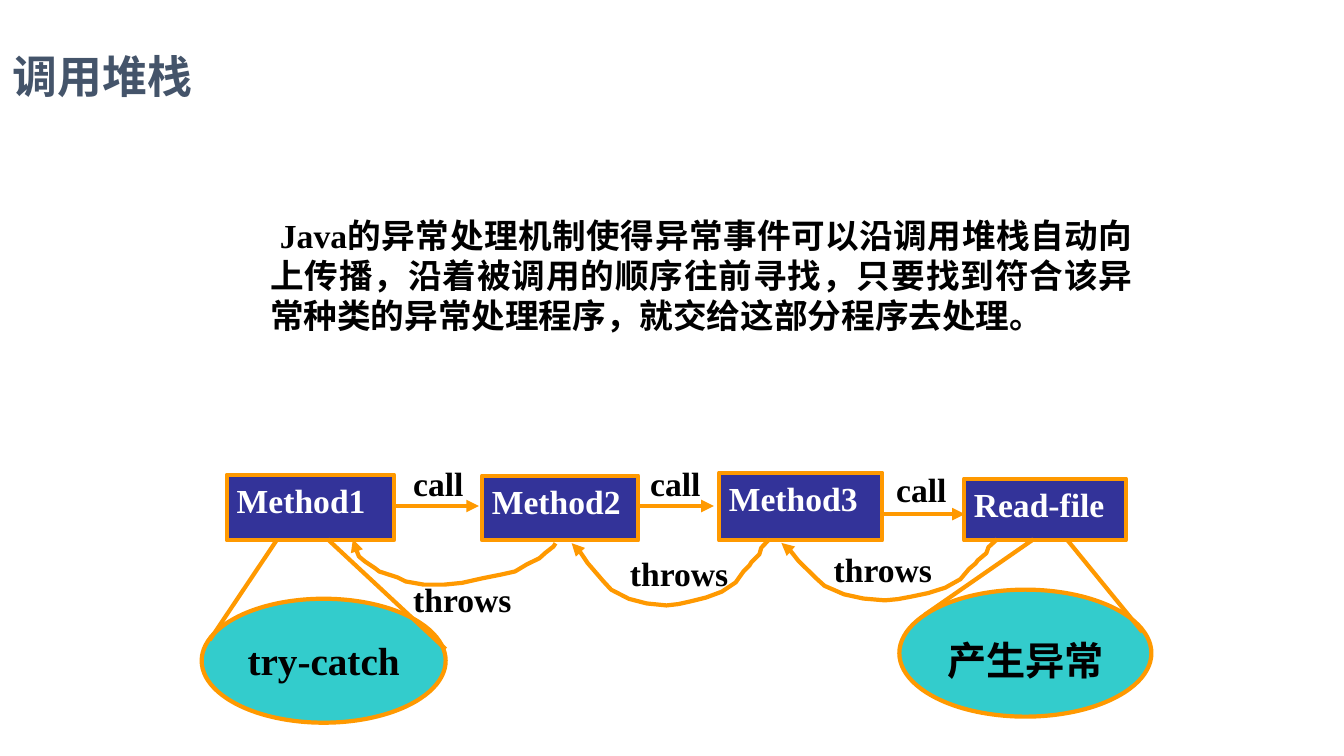
from lxml import etree
from pptx import Presentation
from pptx.dml.color import RGBColor as Rgb
from pptx.enum.shapes import MSO_CONNECTOR as Link, MSO_SHAPE as Form
from pptx.enum.text import MSO_ANCHOR as Anchor, PP_ALIGN as Align
from pptx.oxml.ns import qn
from pptx.util import Inches, Pt

COLORS = {"box": "333399", "oval": "33CCCC", "line": "FF9900",
          "title": "44546A", "black": "000000", "white": "FFFFFF"}
SERIF, SANS, CJK = "Times New Roman", "Arial", "Noto Sans CJK SC"

METHODS = [("Method1", 2.25, 4.71, 1.66, 0.65), ("Method2", 4.78, 4.72, 1.55, 0.64),
           ("Method3", 7.13, 4.69, 1.62, 0.67), ("Read-file", 9.56, 4.75, 1.61, 0.61)]
CALLS = [(3.92, 4.75, 5.02), (6.33, 7.08, 5.02), (8.75, 9.57, 5.1)]
LABELS = [("call", 4, 4.54, 0.73), ("call", 6.35, 4.54, 0.74), ("call", 8.79, 4.6, 0.79),
          ("throws", 8.17, 5.4, 1.32), ("throws", 6.15, 5.44, 1.27),
          ("throws", 4, 5.69, 1.33)]
OVALS = [("try-catch", 2, 5.94, 2.42, 1.23, 1.3), ("产生异常", 8.92, 5.85, 2.5, 1.26, 1.5)]
RAYS = [(2.75, 5.35, 2.08, 6.35), (3.25, 5.35, 4.42, 6.44),
        (10.58, 5.35, 11.33, 6.27), (10.25, 5.35, 9.17, 6.1)]

# Throw curves as fractions of their frame, from thrower to catcher
DEEP = [(1, 0), (.96, .13), (.95, .23), (.91, .35), (.9, .4), (.87, .49), (.83, .66),
        (.76, .8), (.68, .89), (.6, .95), (.54, .99), (.48, 1.01), (.38, .98), (.29, .91),
        (.2, .77), (.16, .64), (.12, .5), (.08, .36), (.04, .18), (0, .06)]
FLAT = [(1, .09), (.99, .16), (.95, .3), (.92, .42), (.86, .55), (.8, .71), (.73, .78),
        (.64, .86), (.54, .96), (.45, 1), (.35, 1), (.26, .93), (.22, .84), (.13, .71),
        (.11, .64), (.06, .49), (.03, .38), (.02, .27), (0, 0)]
THROWS = [(DEEP, 5.67, 5.35, 1.96, 0.65), (FLAT, 3.5, 5.35, 2.01, 0.45),
          (DEEP, 7.75, 5.35, 2.14, 0.6)]

BODY = [(" ", SANS), ("Java的异常处理机制使得异常事件可以沿调用", SERIF), ("堆", SANS),
        ("栈自动向上传播，", SERIF),
        ("沿着被调用的顺序往前寻找，只要找到符合该异常种类的异常处理程序，就交给这部分程序去处理。", SANS)]


def color(name):
    return Rgb.from_string(COLORS[name])


def frame(x, y, w, h):
    return [Inches(v) for v in (x, y, w, h)]


def write(shape, text, size=24, font=SERIF, ink="black", align=Align.LEFT, space=None):
    """Fill a shape with bold text, given as a string or as (text, font) runs."""
    box = shape.text_frame
    box.word_wrap = True
    box.vertical_anchor = Anchor.TOP
    para = box.paragraphs[0]
    para.alignment = align
    if space:
        para.line_spacing = space
    for part, face in [(text, font)] if isinstance(text, str) else text:
        run = para.add_run()
        run.text = part
        run.font.name, run.font.size, run.font.bold = face, Pt(size), True
        run.font.color.rgb = color(ink)
        east = etree.SubElement(run.font._element, qn("a:ea"))
        east.set("typeface", CJK)


def stroke(item, arrow=False):
    item.line.color.rgb = color("line")
    item.line.width = Pt(3)
    if arrow:
        tip = etree.SubElement(item.line._get_or_add_ln(), qn("a:tailEnd"))
        tip.set("type", "triangle")


def label(slide, text, x, y, w, h, **style):
    write(slide.shapes.add_textbox(*frame(x, y, w, h)), text, **style)


def node(slide, form, fill, text, x, y, w, h, **style):
    shape = slide.shapes.add_shape(form, *frame(x, y, w, h))
    shape.shadow.inherit = False
    shape.fill.solid()
    shape.fill.fore_color.rgb = color(fill)
    stroke(shape)
    write(shape, text, **style)


def line(slide, x1, y1, x2, y2, arrow=False):
    link = slide.shapes.add_connector(Link.STRAIGHT, *frame(x1, y1, x2, y2))
    stroke(link, arrow)
    etree.SubElement(link._element.spPr, qn("a:effectLst"))


def curve(slide, route, x, y, w, h):
    dots = [(Inches(x + w * u), Inches(y + h * v)) for u, v in route]
    pen = slide.shapes.build_freeform(*dots[0])
    pen.add_line_segments(dots[1:], close=False)
    shape = pen.convert_to_shape()
    shape.shadow.inherit = False
    shape.fill.background()
    stroke(shape, arrow=True)


def main():
    deck = Presentation()
    deck.slide_width, deck.slide_height = Inches(13.33), Inches(7.5)
    slide = deck.slides.add_slide(deck.slide_layouts[6])

    # Title and explanation
    label(slide, BODY, 2.58, 2.08, 8.75, 1.31, align=Align.JUSTIFY)
    label(slide, "调用堆栈", 0.03, 0.33, 3.25, 0.68,
          size=32, font=CJK, ink="title", space=1.2)

    # Call chain
    for name, *area in METHODS:
        node(slide, Form.RECTANGLE, "box", name, *area, ink="white")
    for start, end, y in CALLS:
        line(slide, start, y, end, y, arrow=True)

    # Handler and source of the exception
    for name, *area, space in OVALS:
        node(slide, Form.OVAL, "oval", name, *area, size=28, align=Align.CENTER, space=space)
    for ray in RAYS:
        line(slide, *ray)

    # Way back up the stack
    for throw in THROWS:
        curve(slide, *throw)
    for name, x, y, w in LABELS:
        label(slide, name, x, y, w, 0.61 if name == "call" else 0.7, align=Align.JUSTIFY)

    deck.save("out.pptx")


main()
